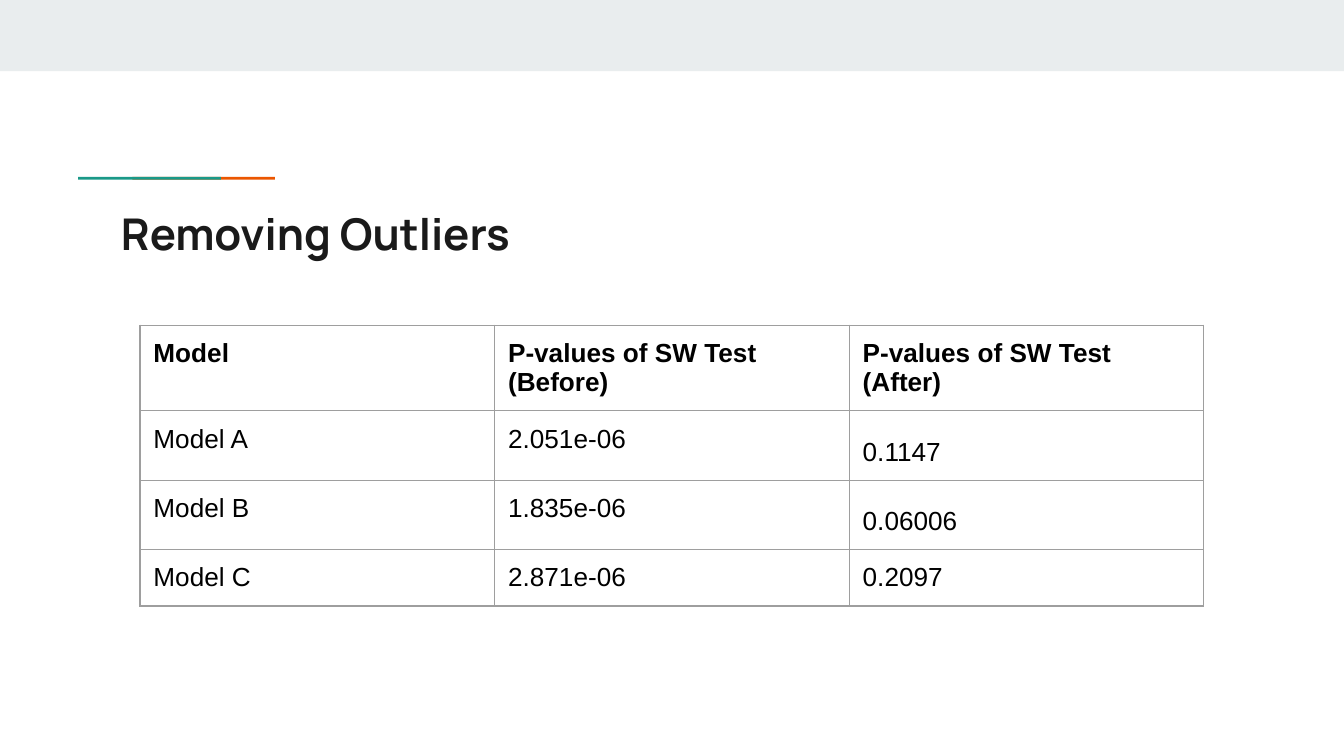
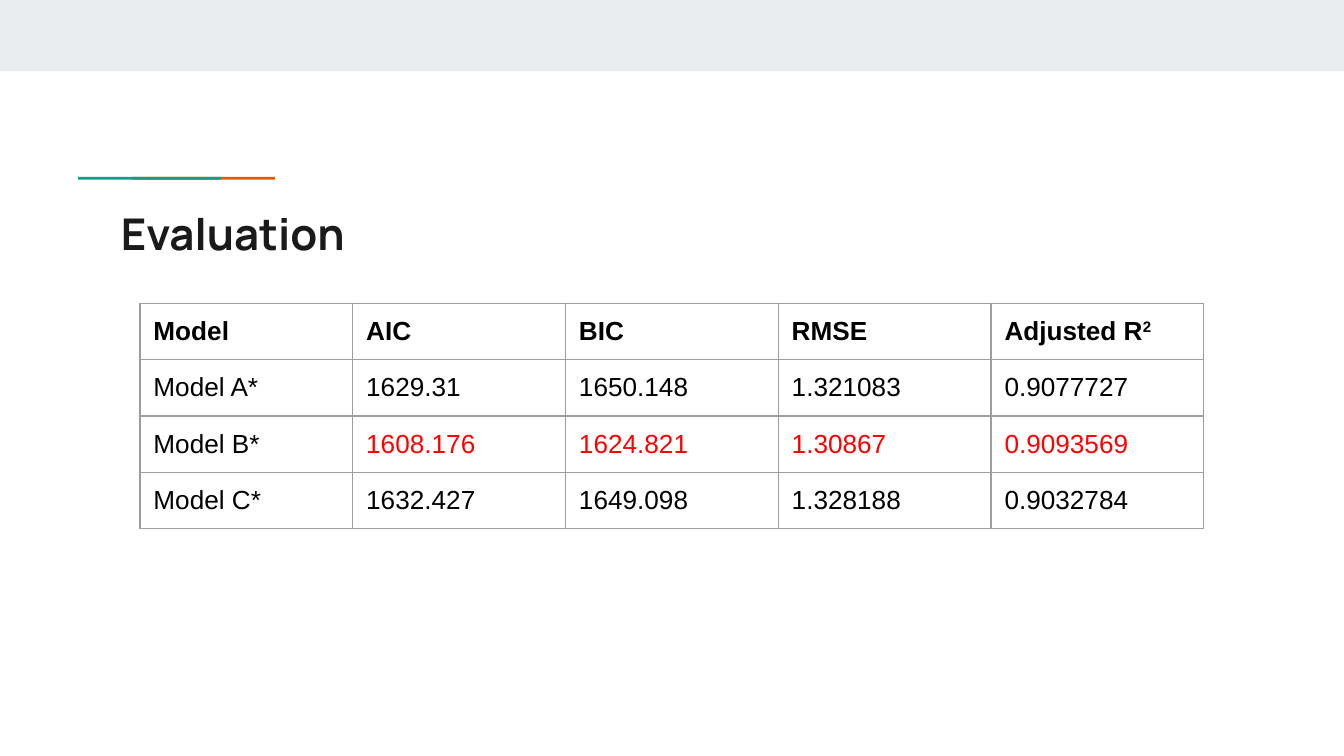
from lxml import etree
from pptx import Presentation
from pptx.dml.color import RGBColor
from pptx.enum.shapes import MSO_SHAPE
from pptx.enum.text import MSO_ANCHOR, MSO_AUTO_SIZE, PP_ALIGN
from pptx.oxml.ns import qn
from pptx.util import Pt

RECT = MSO_SHAPE.RECTANGLE
MIDDLE, LEFT, NO_FIT = MSO_ANCHOR.MIDDLE, PP_ALIGN.LEFT, MSO_AUTO_SIZE.NONE

BAND = RGBColor(0xE9, 0xED, 0xEE)
ORANGE = RGBColor(0xEB, 0x56, 0x00)
TEAL = RGBColor(0x1A, 0x99, 0x88)
INK = RGBColor(0x1A, 0x1A, 0x1A)
BLACK = RGBColor(0, 0, 0)
RED = RGBColor(0xFF, 0, 0)
BORDER = RGBColor(0x9E, 0x9E, 0x9E)

SLIDE_W, SLIDE_H = 720, 405
TABLE_X, TABLE_W, ROW_H = 75, 570, 30.2
INSET = 7.2
LOOSE = 1.45

SLIDES = [
    {
        "title": "Removing Outliers",
        "top": 174.2,
        "rows": [
            ["Model", "P-values of SW Test (Before)", "P-values of SW Test (After)"],
            ["Model A", "2.051e-06", "0.1147"],
            ["Model B", "1.835e-06", "0.06006"],
            ["Model C", "2.871e-06", "0.2097"],
        ],
        "loose": {(1, 2), (2, 2)},
        "best_row": None,
    },
    {
        "title": "Evaluation",
        "top": 162.5,
        "rows": [
            ["Model", "AIC", "BIC", "RMSE", ("Adjusted R", "2")],
            ["Model A*", "1629.31", "1650.148", "1.321083", "0.9077727"],
            ["Model B*", "1608.176", "1624.821", "1.30867", "0.9093569"],
            ["Model C*", "1632.427", "1649.098", "1.328188", "0.9032784"],
        ],
        "loose": set(),
        "best_row": 2,
    },
]


def add_bar(s, x, y, w, h, color):
    sp = s.shapes.add_shape(RECT, Pt(x), Pt(y), Pt(w), Pt(h))
    sp.shadow.inherit = False
    sp.fill.solid()
    sp.fill.fore_color.rgb = color
    sp.line.fill.background()


def add_run(p, text, font, size, color, bold):
    r = p.add_run()
    r.text = text
    r.font.name, r.font.size, r.font.bold = font, Pt(size), bold
    r.font.color.rgb = color
    return r


def set_insets(box):
    box.margin_left = box.margin_right = Pt(INSET)
    box.margin_top = box.margin_bottom = Pt(INSET)


def set_borders(cell):
    tc_pr = cell._tc.get_or_add_tcPr()
    for i, side in enumerate(("a:lnL", "a:lnR", "a:lnT", "a:lnB")):
        ln = etree.Element(qn(side), w=str(Pt(0.75)))
        fill = etree.SubElement(ln, qn("a:solidFill"))
        etree.SubElement(fill, qn("a:srgbClr"), val=str(BORDER))
        tc_pr.insert(i, ln)


def add_title(s, text):
    sp = s.shapes.title
    sp.left, sp.top, sp.width, sp.height = Pt(57.6), Pt(103.7), Pt(605.5), Pt(42.5)
    tf = sp.text_frame
    set_insets(tf)
    tf.word_wrap, tf.auto_size, tf.vertical_anchor = True, NO_FIT, MIDDLE
    p = tf.paragraphs[0]
    p.alignment = LEFT
    add_run(p, text, "Manrope", 23.4, INK, True)


def add_table(s, top, rows, loose, best_row):
    n_rows, n_cols = len(rows), len(rows[0])
    table = s.shapes.add_table(n_rows, n_cols, Pt(TABLE_X), Pt(top),
                               Pt(TABLE_W), Pt(ROW_H * n_rows)).table
    table.first_row = table.horz_banding = False
    for i, row in enumerate(rows):
        for j, content in enumerate(row):
            cell = table.cell(i, j)
            cell.fill.background()
            set_borders(cell)
            set_insets(cell)
            p = cell.text_frame.paragraphs[0]
            if (i, j) in loose:
                p.line_spacing = LOOSE
            color = RED if i == best_row and j > 0 else BLACK
            parts = (content,) if isinstance(content, str) else content
            for k, text in enumerate(parts):
                r = add_run(p, text, "Arial", 14, color, i == 0)
                if k > 0:
                    r.font._element.set("baseline", "30000")


def add_slide(prs, title, **table):
    s = prs.slides.add_slide(prs.slide_layouts[5])
    add_bar(s, 0, 0, SLIDE_W, 38.2, BAND)
    add_bar(s, 70.9, 94.8, 76.4, 1.5, ORANGE)
    add_bar(s, 41.9, 94.8, 76.4, 1.5, TEAL)
    add_title(s, title)
    add_table(s, **table)


def main():
    """Build the two model comparison slides."""
    prs = Presentation()
    prs.slide_width, prs.slide_height = Pt(SLIDE_W), Pt(SLIDE_H)
    for content in SLIDES:
        add_slide(prs, **content)
    prs.save("out.pptx")


if __name__ == "__main__":
    main()
